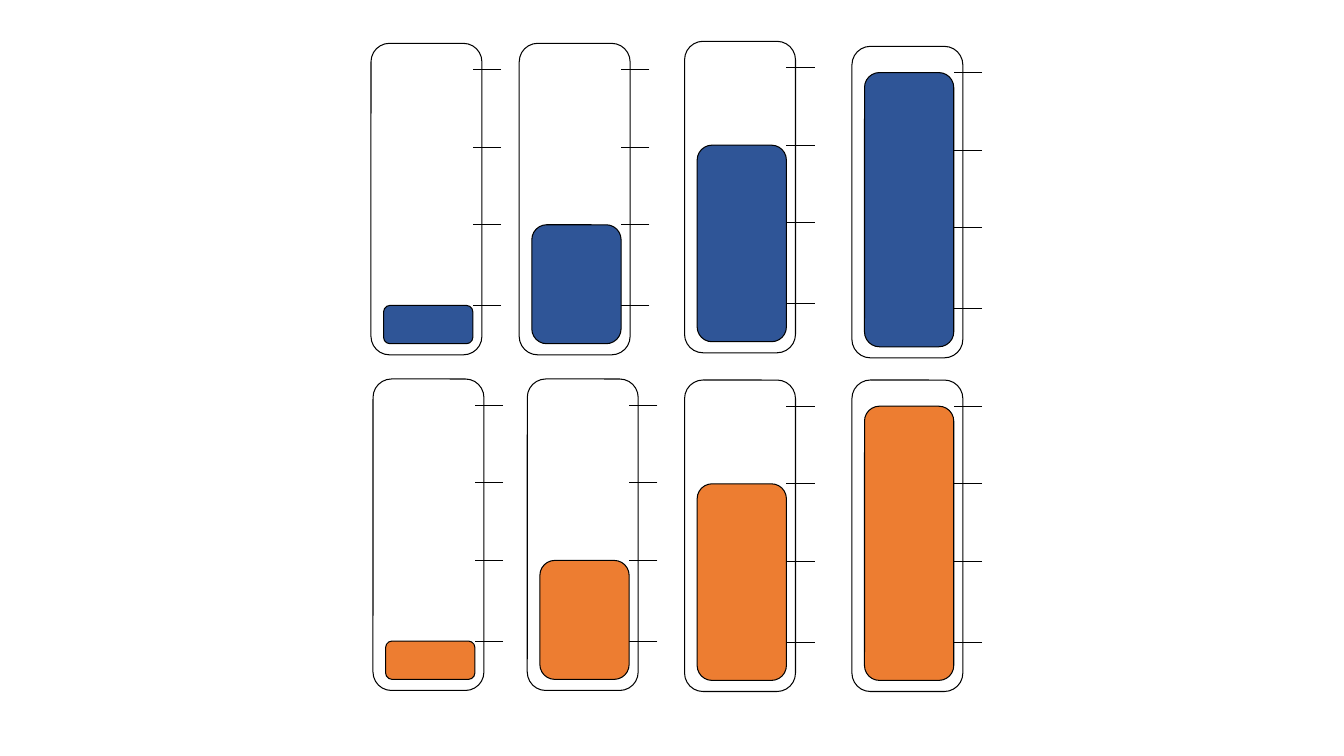
from dataclasses import dataclass

from lxml.etree import SubElement
from pptx import Presentation
from pptx.dml.color import RGBColor
from pptx.dml.line import LineFormat
from pptx.enum.shapes import MSO_CONNECTOR, MSO_SHAPE
from pptx.oxml.ns import qn
from pptx.shapes.group import GroupShape
from pptx.slide import Slide
from pptx.util import Inches, Pt

WHITE = RGBColor(0xFF, 0xFF, 0xFF)
BLACK = RGBColor(0x00, 0x00, 0x00)
BLUE = RGBColor(0x2F, 0x55, 0x97)
ORANGE = RGBColor(0xED, 0x7D, 0x31)

TUBE_WIDTH, TUBE_HEIGHT = 1.1, 3.09
LIQUID_INSET, LIQUID_WIDTH, LIQUID_BOTTOM = 0.125, 0.885, 2.98
TICK_START, TICK_LENGTH = 1.01, 0.28
TICK_DEPTHS = (2.6, 1.8, 1.03, 0.26)
OUTLINE_COLOR = {"rgb": BLACK}
OUTLINE_SIZE = {"width": Pt(0.75)}


@dataclass(frozen=True)
class Gauge:
    left: float
    top: float
    level: int
    color: RGBColor


ROWS = {
    BLUE: ((3.68, 0.43), (5.15, 0.43), (6.79, 0.41), (8.45, 0.46)),
    ORANGE: ((3.7, 3.76), (5.23, 3.76), (6.79, 3.77), (8.45, 3.77)),
}
GAUGES = [
    Gauge(left, top, level, color)
    for color, corners in ROWS.items()
    for level, (left, top) in enumerate(corners)
]


def format_outline(line: LineFormat) -> None:
    for target, values in ((line.color, OUTLINE_COLOR), (line, OUTLINE_SIZE)):
        if target is line.color:
            line.fill.solid()
        for name, value in values.items():
            setattr(target, name, value)


def add_rounded_box(
    group: GroupShape, left: float, top: float, width: float, height: float, color: RGBColor
) -> None:
    box = group.shapes.add_shape(
        MSO_SHAPE.FLOWCHART_ALTERNATE_PROCESS,
        Inches(left), Inches(top), Inches(width), Inches(height),
    )
    box.shadow.inherit = False
    box.fill.solid()
    box.fill.fore_color.rgb = color
    format_outline(box.line)


def add_tick(group: GroupShape, left: float, height: float) -> None:
    tick = group.shapes.add_connector(
        MSO_CONNECTOR.STRAIGHT,
        Inches(left + TICK_LENGTH), Inches(height), Inches(left), Inches(height),
    )
    format_outline(tick.line)
    SubElement(tick._element.spPr, qn("a:effectLst"))


def draw_gauge(page: Slide, gauge: Gauge) -> None:
    group = page.shapes.add_group_shape()
    add_rounded_box(group, gauge.left, gauge.top, TUBE_WIDTH, TUBE_HEIGHT, WHITE)
    for depth in TICK_DEPTHS:
        add_tick(group, gauge.left + TICK_START, gauge.top + depth)
    surface = TICK_DEPTHS[gauge.level]
    add_rounded_box(
        group, gauge.left + LIQUID_INSET, gauge.top + surface,
        LIQUID_WIDTH, LIQUID_BOTTOM - surface, gauge.color,
    )


deck = Presentation()
deck.slide_width, deck.slide_height = Inches(13.33), Inches(7.5)
page = deck.slides.add_slide(deck.slide_layouts[6])
for gauge in GAUGES:
    draw_gauge(page, gauge)
deck.save("out.pptx")
